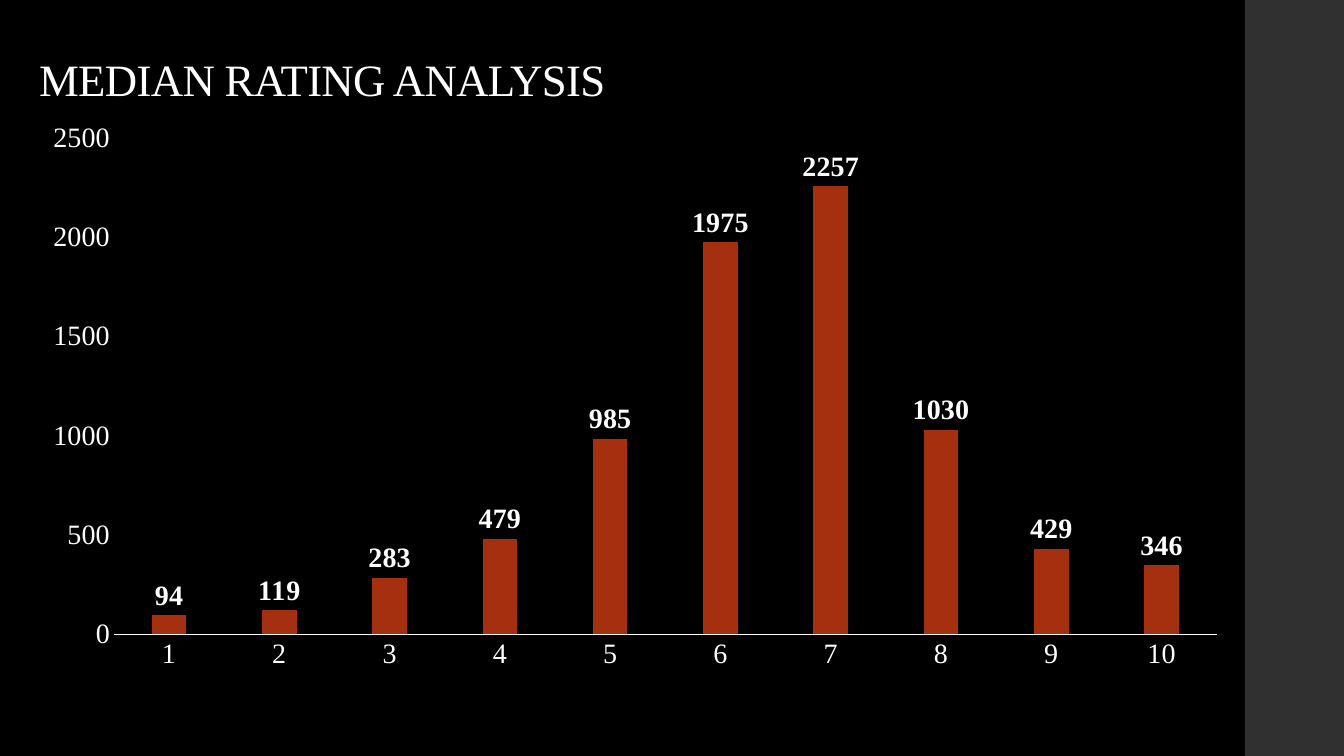
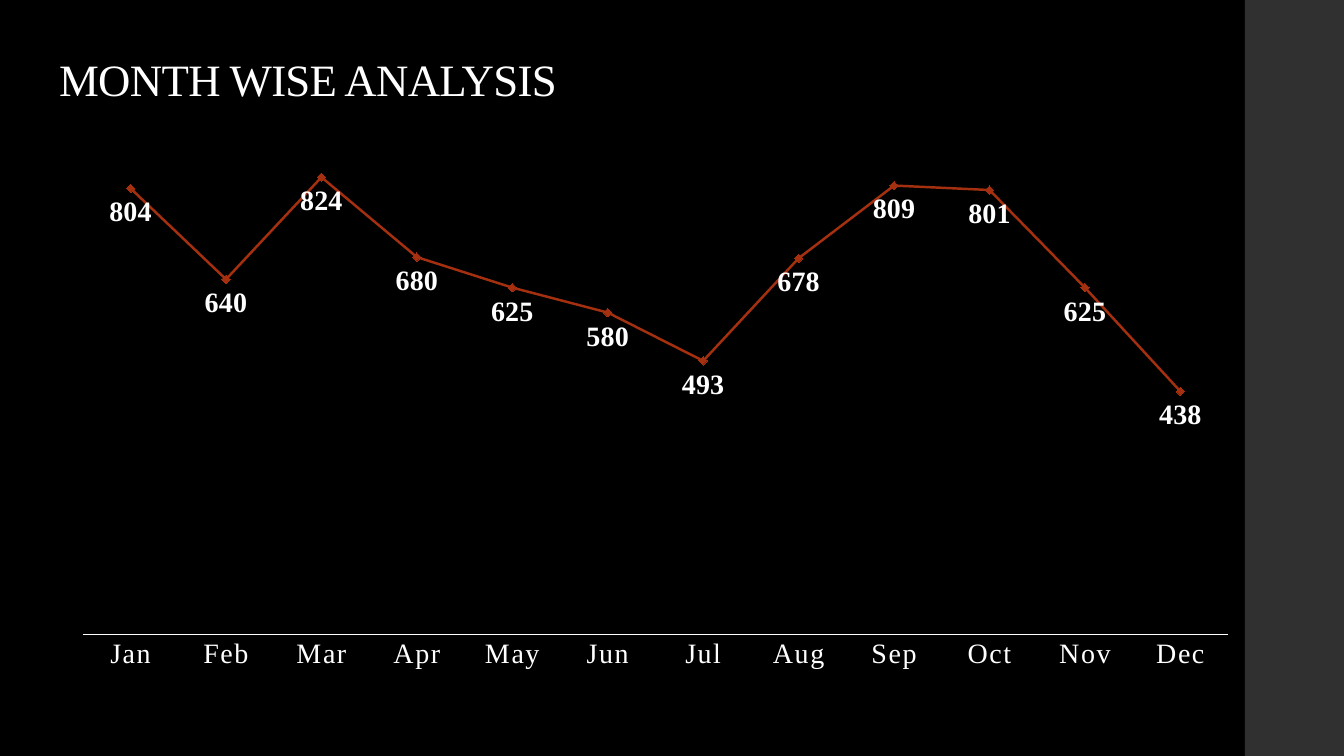
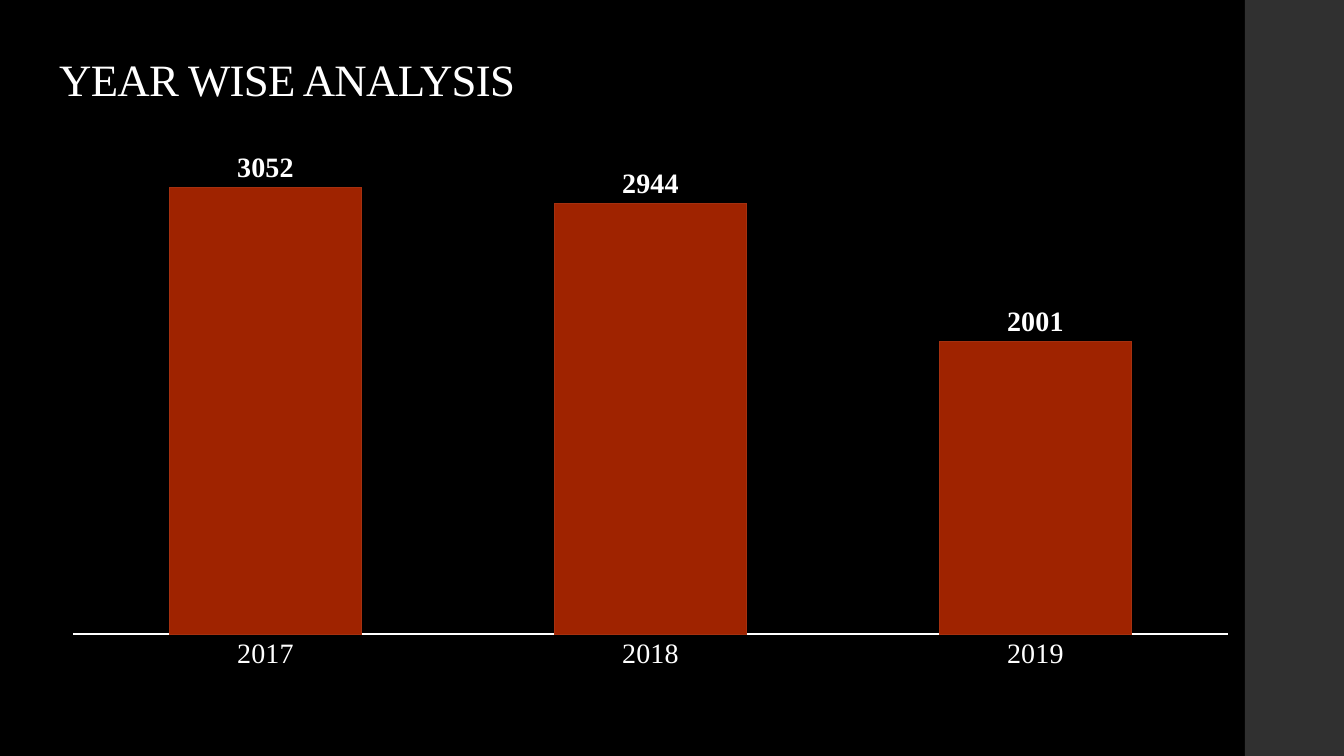
from pptx import Presentation
from pptx.chart.data import CategoryChartData
from pptx.dml.color import RGBColor
from pptx.enum.chart import (XL_CHART_TYPE, XL_LABEL_POSITION, XL_MARKER_STYLE,
                             XL_TICK_MARK)
from pptx.enum.shapes import MSO_SHAPE
from pptx.enum.text import MSO_ANCHOR, MSO_AUTO_SIZE, PP_ALIGN
from pptx.util import Emu, Pt

COLS = XL_CHART_TYPE.COLUMN_CLUSTERED
LINES = XL_CHART_TYPE.LINE_MARKERS_STACKED
ABOVE = XL_LABEL_POSITION.OUTSIDE_END
BELOW = XL_LABEL_POSITION.BELOW
DIAMOND = XL_MARKER_STYLE.DIAMOND
NO_TICK = XL_TICK_MARK.NONE
RECT = MSO_SHAPE.RECTANGLE
BOTTOM = MSO_ANCHOR.BOTTOM
NO_FIT = MSO_AUTO_SIZE.NONE
LEFT = PP_ALIGN.LEFT

FONT = "Times New Roman"
COLORS = {"back": "000000", "band": "303030", "text": "FFFFFF",
          "rust": "A5300F", "brick": "9F2300"}
SCALE = 914400 / 100.8
WIDE, HIGH = 1344, 756
MONTHS = "Jan Feb Mar Apr May Jun Jul Aug Sep Oct Nov Dec".split()


def px(*nums):
    """Turn pixels into a list of EMU lengths."""
    return [Emu(round(num * SCALE)) for num in nums]


def tint(name):
    """Look up a named colour."""
    return RGBColor.from_string(COLORS[name])


def paint(fill, name):
    """Make a fill solid in a named colour."""
    fill.solid()
    fill.fore_color.rgb = tint(name)


def style(font, size, bold=False):
    """Set the shared typeface in white."""
    font.name, font.size, font.bold = FONT, Pt(size), bold
    font.color.rgb = tint("text")


def dress(deck, slide):
    """Give the master its black ground and side band."""
    master = deck.slide_master
    paint(master.background.fill, "back")
    band = slide.shapes.add_shape(RECT, *px(1245, 0, WIDE - 1245, HIGH))
    band.shadow.inherit = False
    paint(band.fill, "band")
    band.line.fill.background()
    band.element.nvSpPr.cNvPr.id = 99
    master.shapes.element.insert(2, band.element)


def add_title(slide, text, left):
    """Place and format the title placeholder."""
    title = slide.shapes.title
    title.left, title.top, title.width, title.height = px(left, 40, 1252 - left, 71)
    frame = title.text_frame
    frame.text = text
    frame.auto_size = NO_FIT
    frame.vertical_anchor = BOTTOM
    para = frame.paragraphs[0]
    para.alignment, para.line_spacing = LEFT, 0.9
    run = para.runs[0]
    style(run.font, 32)
    run.font._element.set("spc", "-50")


def add_chart(slide, kind, box, cats, vals, top, place, line=0.75):
    """Add a one-series chart with bold labels and a plain base line."""
    data = CategoryChartData()
    data.categories = cats
    data.add_series("Series 1", vals)
    chart = slide.shapes.add_chart(kind, *px(*box), data).chart
    style(chart.font, 10)
    chart.has_legend = chart.has_title = False
    base, scale = chart.category_axis, chart.value_axis
    for axis in (base, scale):
        axis.major_tick_mark = axis.minor_tick_mark = NO_TICK
        axis.has_major_gridlines = False
        style(axis.tick_labels.font, 20)
    paint(base.format.line.fill, "text")
    base.format.line.width = Pt(line)
    scale.format.line.fill.background()
    scale.minimum_scale, scale.maximum_scale = 0, top
    plot = chart.plots[0]
    plot.vary_by_categories = False
    plot.has_data_labels = True
    labels = plot.data_labels
    labels.show_value, labels.position = True, place
    style(labels.font, 20, True)
    return chart


def shape_bars(chart, gap, lap, color):
    """Set the spacing and fill of the columns."""
    plot = chart.plots[0]
    plot.gap_width, plot.overlap = gap, lap
    bars = plot.series[0]
    bars.invert_if_negative = False
    paint(bars.format.fill, color)
    return bars


def shape_line(chart):
    """Draw a straight line with diamond markers."""
    line = chart.plots[0].series[0]
    line.smooth = False
    paint(line.format.line.fill, "rust")
    line.format.line.width = Pt(1.75)
    mark = line.marker
    mark.style, mark.size = DIAMOND, 6
    paint(mark.format.fill, "rust")
    paint(mark.format.line.fill, "rust")


def draw_rating(slide):
    """Chart the count of each median rating."""
    vals = (94, 119, 283, 479, 985, 1975, 2257, 1030, 429, 346)
    cats = [str(num) for num in range(1, 11)]
    chart = add_chart(slide, COLS, (29, 111, 1212, 570), cats, vals, 2500, ABOVE)
    chart.value_axis.major_unit = 500
    shape_bars(chart, 219, -27, "rust")


def draw_months(slide):
    """Chart the count of each month."""
    vals = (804, 640, 824, 680, 625, 580, 493, 678, 809, 801, 625, 438)
    chart = add_chart(slide, LINES, (59, 124, 1193, 557), MONTHS, vals, 900, BELOW)
    chart.value_axis.visible = False
    shape_line(chart)
    for props in chart.element.xpath(".//c:catAx//a:defRPr"):
        props.set("spc", "100")


def draw_years(slide):
    """Chart the count of each year."""
    cats, vals = ("2017", "2018", "2019"), (3052, 2944, 2001)
    chart = add_chart(slide, COLS, (49, 111, 1203, 570), cats, vals, 3500, ABOVE, 1)
    chart.value_axis.visible = False
    bars = shape_bars(chart, 100, -24, "brick")
    paint(bars.format.line.fill, "rust")
    bars.format.line.width = Pt(0)


def main():
    """Build and save the deck."""
    deck = Presentation()
    deck.slide_width, deck.slide_height = px(WIDE, HIGH)
    pages = (("MEDIAN RATING ANALYSIS", 29, draw_rating),
             ("MONTH WISE ANALYSIS", 49, draw_months),
             ("YEAR WISE ANALYSIS", 49, draw_years))
    for text, left, draw in pages:
        slide = deck.slides.add_slide(deck.slide_layouts[5])
        add_title(slide, text, left)
        draw(slide)
    dress(deck, slide)
    deck.save("out.pptx")


if __name__ == "__main__":
    main()
